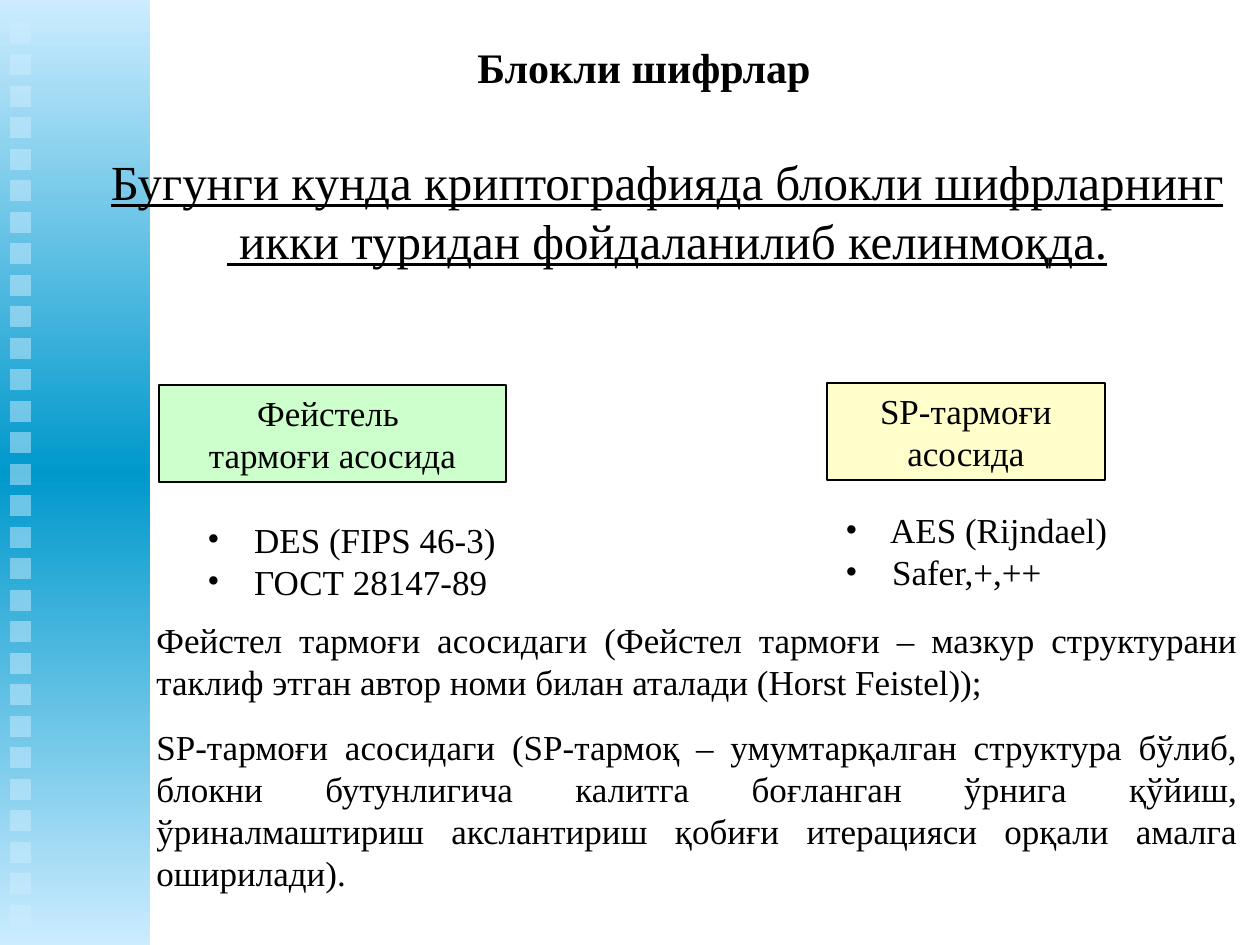
"""Build the slide on the two families of block ciphers."""
from copy import deepcopy

from lxml.etree import SubElement
from pptx import Presentation
from pptx.dml.color import RGBColor
from pptx.enum.shapes import MSO_SHAPE as SHAPE
from pptx.enum.text import MSO_AUTO_SIZE as FIT, PP_ALIGN as AL
from pptx.oxml.ns import qn
from pptx.util import Pt

PX = 9144000 / 1260
BLACK = RGBColor(0x00, 0x00, 0x00)
PALE_BLUE = RGBColor(0xCC, 0xEC, 0xFF)
BLUE = RGBColor(0x00, 0x99, 0xCC)
YELLOW = RGBColor(0xFF, 0xFF, 0xCC)
GREEN = RGBColor(0xCC, 0xFF, 0xCC)
HANG = 38


def px(*lengths):
    return [round(n * PX) for n in lengths]


def write(sp, lines, align, size, wrap=True, hang=0, bullet=False, **style):
    tf = sp.text_frame
    tf.word_wrap = wrap
    tf.auto_size = FIT.SHAPE_TO_FIT_TEXT
    for i, line in enumerate(lines):
        p = tf.add_paragraph() if i else tf.paragraphs[0]
        p.alignment = align
        pPr = p._p.get_or_add_pPr()
        if hang:
            indent, = px(hang)
            pPr.set("marL", str(indent))
            pPr.set("indent", str(-indent))
        if bullet:
            SubElement(pPr, qn("a:buFont")).set("typeface", "Times New Roman")
            SubElement(pPr, qn("a:buChar")).set("char", "•")
        r = p.add_run()
        r.text = line
        r.font.color.rgb = BLACK
        font = {"name": "Times New Roman", "size": Pt(size), **style}
        for key, value in font.items():
            setattr(r.font, key, value)


prs = Presentation()
prs.slide_width, prs.slide_height = px(1260, 945)
s = prs.slides.add_slide(prs.slide_layouts[6])

band = s.shapes.add_shape(SHAPE.RECTANGLE, *px(0, 0, 150, 945))
band.shadow.inherit = False
band.line.fill.background()
band.fill.gradient()
band.fill.gradient_angle = 90
stops = band.fill.gradient_stops
for stop, position, color in zip(stops, (0, 0.5), (PALE_BLUE, BLUE)):
    stop.position = position
    stop.color.rgb = color
gs_list = band._element.spPr.find(".//" + qn("a:gsLst"))
end_stop = deepcopy(gs_list[0])
end_stop.set("pos", "100000")
gs_list.append(end_stop)

for i in range(29):
    square = s.shapes.add_shape(SHAPE.RECTANGLE, *px(10, 23 + i * 63 // 2, 21, 21))
    square.shadow.inherit = False
    square.line.fill.background()
    square.fill.solid()
    square.fill.fore_color.rgb = PALE_BLUE
    color = square._element.spPr.find(".//" + qn("a:srgbClr"))
    SubElement(color, qn("a:alpha")).set("val", "50000")

title = s.shapes.add_textbox(*px(465, 35, 359, 63))
write(title, ["Блокли шифрлар"], AL.LEFT, 24, wrap=False, bold=True)

intro = s.shapes.add_textbox(*px(96, 145, 1142, 131))
write(intro, ["Бугунги кунда криптографияда блокли шифрларнинг",
              " икки туридан фойдаланилиб келинмоқда."],
      AL.CENTER, 28, wrap=False, underline=True)

families = [
    ((827, 383, 278, 97), YELLOW, True, ["SP-тармоғи", "асосида"]),
    ((159, 385, 347, 97), GREEN, False, ["Фейстель ", "тармоғи асосида"]),
]
for box, color, wrap, lines in families:
    sp = s.shapes.add_shape(SHAPE.RECTANGLE, *px(*box))
    sp.shadow.inherit = False
    sp.fill.solid()
    sp.fill.fore_color.rgb = color
    sp.line.color.rgb = BLACK
    sp.line.width = Pt(0.75)
    write(sp, lines, AL.CENTER, 20, wrap=wrap, hang=HANG)

ciphers = [
    ((195, 512, 335, 97), [" DES (FIPS 46-3)", " ГОСТ 28147-89"]),
    ((833, 502, 302, 97), [" AES (Rijndael)", " Safer,+,++"]),
]
for box, lines in ciphers:
    tb = s.shapes.add_textbox(*px(*box))
    write(tb, lines, AL.LEFT, 20, hang=HANG, bullet=True)

notes = [
    (612, 97, "Фейстел тармоғи асосидаги (Фейстел тармоғи – мазкур структурани "
              "таклиф этган автор номи билан аталади (Horst Feistel));"),
    (719, 181, "SP-тармоғи асосидаги (SP-тармоқ – умумтарқалган структура бўлиб, "
               "блокни бутунлигича калитга боғланган ўрнига қўйиш, ўриналмаштириш "
               "акслантириш қобиғи итерацияси орқали амалга оширилади)."),
]
for top, height, text in notes:
    tb = s.shapes.add_textbox(*px(144, top, 1106, height))
    write(tb, [text], AL.JUSTIFY, 20)

prs.save("out.pptx")
